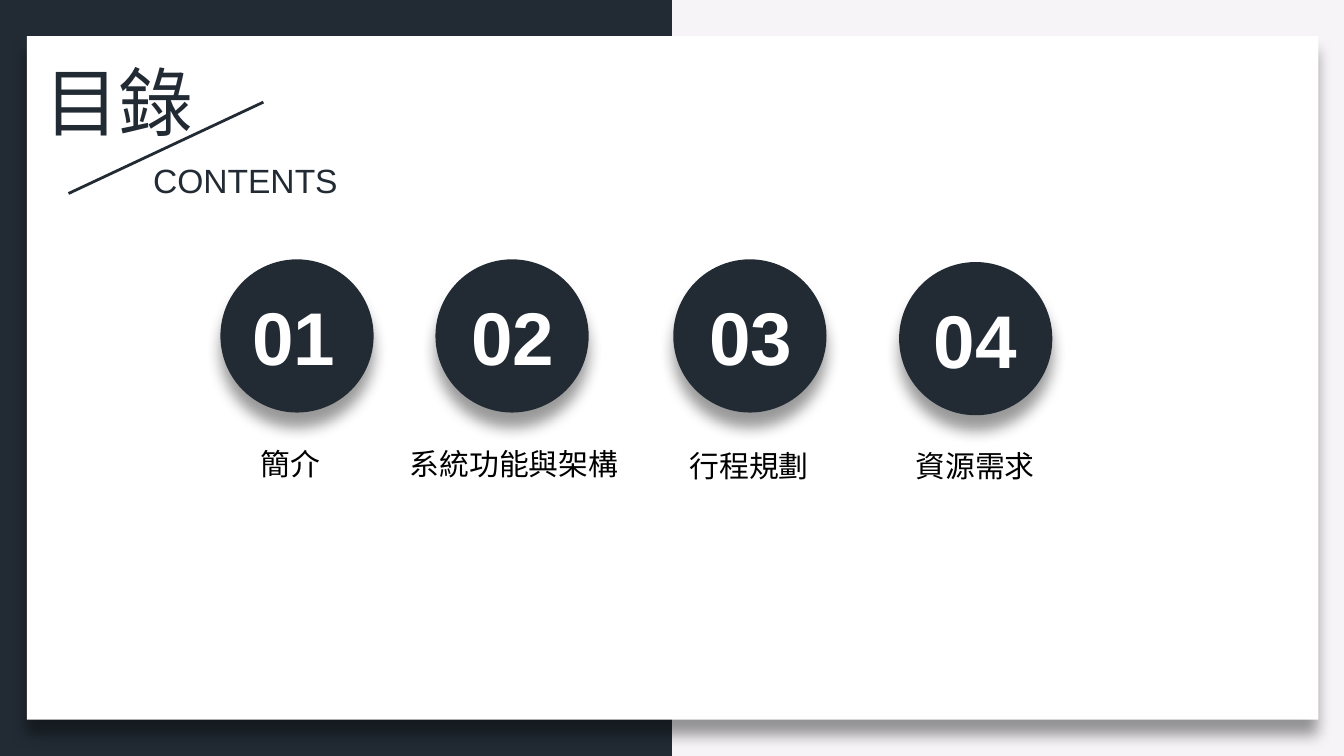
from dataclasses import dataclass

from lxml.etree import SubElement
from pptx import Presentation
from pptx.dml.color import RGBColor
from pptx.enum.shapes import MSO_CONNECTOR, MSO_SHAPE
from pptx.enum.text import MSO_AUTO_SIZE, PP_ALIGN
from pptx.oxml.ns import qn
from pptx.util import Inches, Pt


@dataclass(frozen=True)
class Theme:
    dark: RGBColor = RGBColor(0x22, 0x2B, 0x34)
    pale: RGBColor = RGBColor(0xF6, 0xF4, 0xF7)
    white: RGBColor = RGBColor(0xFF, 0xFF, 0xFF)
    black: RGBColor = RGBColor(0, 0, 0)
    heading_size: int = 40
    subtitle_size: int = 18
    label_size: int = 16
    latin: str = "Arial"
    body: str = "Calibri"


THEME = Theme()
PAGE_WIDTH = 10
PAGE_HEIGHT = PAGE_WIDTH * 9 / 16
CIRCLE_SIZE = 1.14

# number, number left, label, label font, circle (left, top), label (left, top, width)
CHAPTERS = [
    ("01", 1.77, "簡介", THEME.body, (1.64, 1.93), (1.55, 3.27, 1.22)),
    ("02", 3.4, "系統功能與架構", THEME.latin, (3.24, 1.93), (2.88, 3.27, 1.89)),
    ("03", 5.17, "行程規劃", THEME.body, (5.01, 1.93), (4.85, 3.28, 1.45)),
    ("04", 6.84, "資源需求", THEME.body, (6.69, 1.95), (6.53, 3.28, 1.45)),
]


def add_soft_shadow(shape):
    """Cast a blurred 40 % black shadow straight down."""
    effects = shape._element.spPr.find(qn("a:effectLst"))
    shadow = SubElement(effects, qn("a:outerShdw"), blurRad=str(Pt(8)), dist=str(Pt(8)),
                        dir="5400000", algn="t", rotWithShape="0")
    color = SubElement(shadow, qn("a:srgbClr"), val=str(THEME.black))
    SubElement(color, qn("a:alpha"), val="40000")


def add_filled(page, kind, box, color, shadowed=False):
    shape = page.shapes.add_shape(kind, *map(Inches, box))
    shape.fill.solid()
    shape.fill.fore_color.rgb = color
    shape.line.fill.background()
    shape.shadow.inherit = False
    if shadowed:
        add_soft_shadow(shape)


def add_text(page, box, text, size, font, color, align=PP_ALIGN.LEFT, wrap=False, bold=False):
    frame = page.shapes.add_textbox(*map(Inches, box)).text_frame
    frame.word_wrap = wrap
    frame.auto_size = MSO_AUTO_SIZE.SHAPE_TO_FIT_TEXT
    frame.text = text
    para = frame.paragraphs[0]
    para.alignment = align
    span = para.runs[0].font
    span.size, span.name, span.bold = Pt(size), font, bold
    span.color.rgb = color


def add_backdrop(page, width, height):
    page.background.fill.solid()
    page.background.fill.fore_color.rgb = THEME.pale
    add_filled(page, MSO_SHAPE.RECTANGLE, (0, 0, width / 2, height), THEME.dark)
    add_filled(page, MSO_SHAPE.RECTANGLE, (0.2, 0.27, width - 0.39, height - 0.54),
               THEME.white, shadowed=True)


def add_heading(page, left, top):
    """Title and subtitle on either side of a slanted rule."""
    add_text(page, (left, top, 1.32, 0.77), "目錄", THEME.heading_size, THEME.body, THEME.dark)
    ends = (left + 1.73, top + 0.39, left + 0.28, top + 1.07)
    rule = page.shapes.add_connector(MSO_CONNECTOR.STRAIGHT, *map(Inches, ends))
    rule.line.color.rgb = THEME.dark
    rule.line.width = Pt(1.5)
    SubElement(rule._element.spPr, qn("a:effectLst"))
    add_text(page, (left + 0.81, top + 0.77, 1.59, 0.4), "CONTENTS",
             THEME.subtitle_size, THEME.latin, THEME.dark)


def add_chapter(page, number, number_left, label, label_font, circle, label_place):
    left, top = circle
    add_filled(page, MSO_SHAPE.OVAL, (left, top, CIRCLE_SIZE, CIRCLE_SIZE),
               THEME.dark, shadowed=True)
    number_height = 0.77
    number_top = top + (CIRCLE_SIZE - number_height) / 2
    add_text(page, (number_left, number_top, 0.83, number_height), number,
             THEME.heading_size, THEME.latin, THEME.white, PP_ALIGN.CENTER, bold=True)
    add_text(page, (*label_place, 0.37), label, THEME.label_size, label_font, THEME.black,
             PP_ALIGN.CENTER, wrap=True)


def main():
    deck = Presentation()
    deck.slide_width, deck.slide_height = Inches(PAGE_WIDTH), Inches(PAGE_HEIGHT)
    page = deck.slides.add_slide(deck.slide_layouts[6])
    add_backdrop(page, PAGE_WIDTH, PAGE_HEIGHT)
    add_heading(page, 0.23, 0.37)
    for chapter in CHAPTERS:
        add_chapter(page, *chapter)
    deck.save("out.pptx")


if __name__ == "__main__":
    main()
